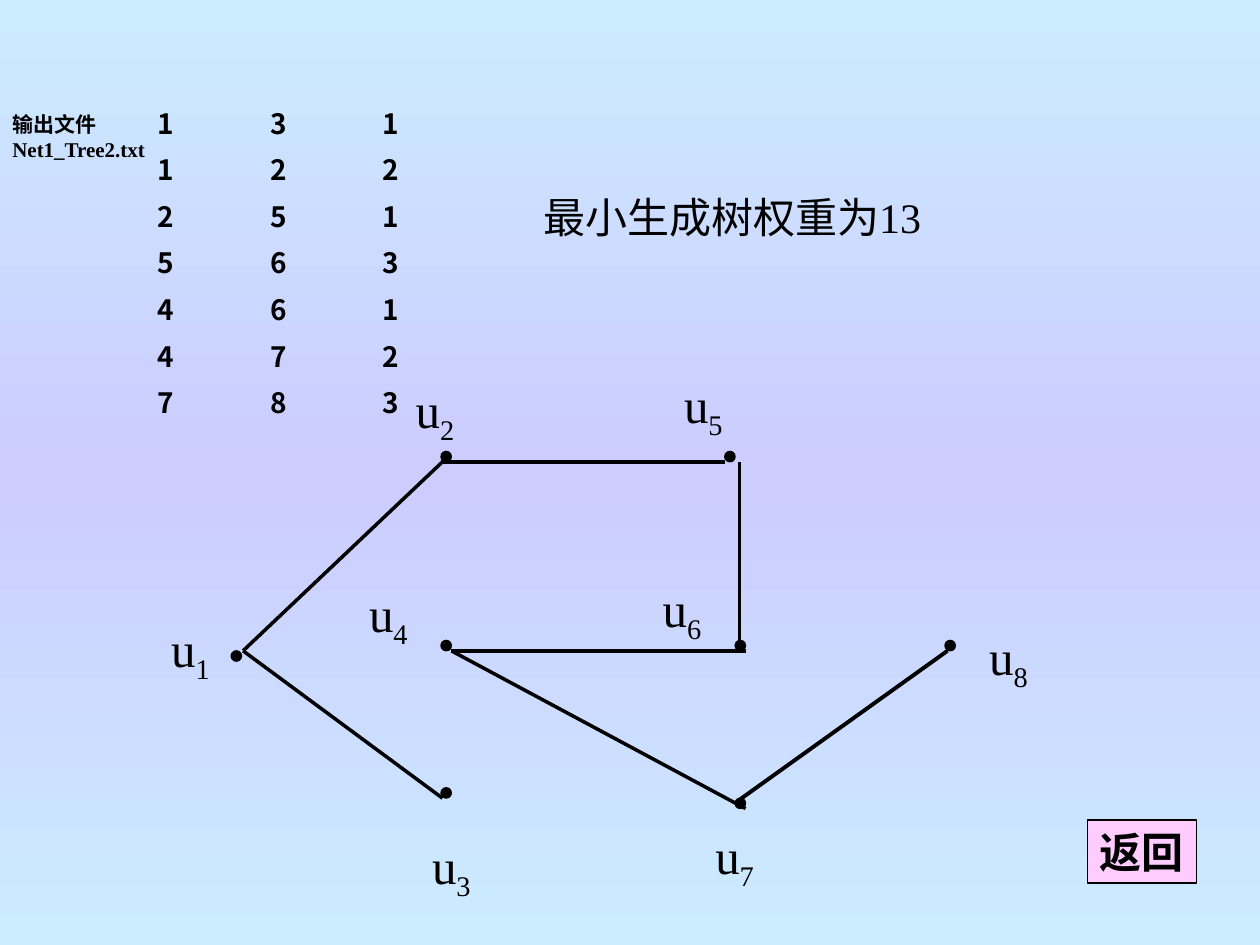
from copy import deepcopy
from typing import NamedTuple

from lxml.etree import SubElement
from pptx import Presentation
from pptx.dml.color import RGBColor
from pptx.enum.shapes import MSO_CONNECTOR, MSO_SHAPE
from pptx.enum.text import MSO_ANCHOR, MSO_AUTO_SIZE, PP_ALIGN
from pptx.oxml.ns import qn
from pptx.util import Cm, Pt

SERIF = "Times New Roman"
SANS = "Noto Sans CJK SC"
BLACK, PINK, SKY, LILAC = "000000", "FFCCFF", "CCECFF", "CCCCFF"
NO_GRID = "{2D5ABB26-0587-4C30-8999-92F81FD0307C}"
DOT = 0.21


class Node(NamedTuple):
    """Dot corner, then label corner and label width, all in cm."""
    num: int
    x: float
    y: float
    left: float
    top: float
    width: float
    wrap: bool = True


class Edge(NamedTuple):
    x1: float
    y1: float
    x2: float
    y2: float
    weight: float = 2


NODES = [
    Node(1, 4.66, 13.12, 3.2, 12.34, 1.27, False),
    Node(2, 8.89, 9.1, 8.13, 7.52, 1.27, False),
    Node(3, 8.89, 15.88, 8.46, 16.71, 2.12),
    Node(4, 8.89, 12.91, 7.19, 11.63, 1.69),
    Node(5, 14.61, 9.1, 13.54, 7.42, 2.33),
    Node(6, 14.82, 12.91, 13.11, 11.53, 2.12),
    Node(7, 14.82, 16.09, 14.17, 16.51, 2.33),
    Node(8, 19.05, 12.91, 19.69, 12.5, 1.9),
]
EDGES = [
    Edge(8.92, 9.31, 4.9, 13.12),
    Edge(4.9, 13.12, 8.92, 16.09),
    Edge(9.1, 13.12, 15.03, 13.12),
    Edge(8.89, 9.31, 14.61, 9.31),
    Edge(14.91, 9.31, 14.91, 13.12),
    Edge(9.1, 13.12, 15.03, 16.3),
    Edge(14.91, 16.12, 19.1, 13.12, 2.25),
]
TREE = [(1, 3, 1), (1, 2, 2), (2, 5, 1), (5, 6, 3), (4, 6, 1), (4, 7, 2), (7, 8, 3)]


def paint(color, code: str) -> None:
    color.rgb = RGBColor.from_string(code)


def style(para, size: float, face: str = SERIF, bold: bool = False) -> None:
    font = para.font
    font.size, font.name, font.bold = Pt(size), face, bold
    paint(font.color, BLACK)


def coat(shape, code: str) -> None:
    """Give a shape a plain fill, a thin black outline and no shadow."""
    shape.shadow.inherit = False
    shape.fill.solid()
    paint(shape.fill.fore_color, code)
    paint(shape.line.color, BLACK)
    shape.line.width = Pt(0.75)


def write(shape, text: str, size: float, bold: bool = False,
          wrap: bool = True, before: float = 0):
    """Fill a shape with one line; a tight, unwrapped one gets a slim right margin."""
    frame = shape.text_frame
    frame.word_wrap = wrap
    if not wrap:
        frame.margin_right = Cm(0.1)
    frame.auto_size = MSO_AUTO_SIZE.SHAPE_TO_FIT_TEXT
    frame.vertical_anchor = MSO_ANCHOR.TOP
    para = frame.paragraphs[0]
    para.alignment = PP_ALIGN.LEFT
    para.space_before = Pt(before)
    style(para, size, bold=bold)
    run = para.add_run()
    run.text = text
    paint(run.font.color, BLACK)
    return para


def add_box(slide, x: float, y: float, w: float, h: float):
    return slide.shapes.add_textbox(Cm(x), Cm(y), Cm(w), Cm(h))


def add_dot(slide, node: Node) -> None:
    dot = slide.shapes.add_shape(
        MSO_SHAPE.OVAL, Cm(node.x), Cm(node.y), Cm(DOT), Cm(DOT))
    coat(dot, BLACK)


def add_name(slide, node: Node) -> None:
    box = add_box(slide, node.left, node.top, node.width, 1.6)
    para = write(box, "u", 28, wrap=node.wrap, before=17.5 if node.wrap else 0)
    sub = para.add_run()
    sub.text = str(node.num)
    paint(sub.font.color, BLACK)
    sub._r.get_or_add_rPr().set("baseline", "-25000")


def add_edge(slide, edge: Edge) -> None:
    line = slide.shapes.add_connector(
        MSO_CONNECTOR.STRAIGHT,
        Cm(edge.x1), Cm(edge.y1), Cm(edge.x2), Cm(edge.y2))
    paint(line.line.color, BLACK)
    line.line.width = Pt(edge.weight)
    SubElement(line._element.spPr, qn("a:effectLst"))


def add_tree(slide) -> None:
    wide, high = 2.27, 0.94
    frame = slide.shapes.add_table(
        len(TREE), 3, Cm(1.49), Cm(1.92), Cm(3 * wide), Cm(len(TREE) * high))
    table = frame.table
    table.first_row = table.horz_banding = False
    table._tbl.tblPr.find(qn("a:tableStyleId")).text = NO_GRID
    for row, nums in zip(table.rows, TREE):
        row.height = Cm(high)
        for cell, num in zip(row.cells, nums):
            cell.fill.background()
            cell.vertical_anchor = MSO_ANCHOR.MIDDLE
            cell.margin_top, cell.margin_bottom = Cm(0.13), 0
            cell.text = str(num)
            para = cell.text_frame.paragraphs[0]
            para.alignment = PP_ALIGN.RIGHT
            style(para, 16, SANS, True)


def add_back(slide) -> None:
    """Fade the background from sky to lilac and back to sky."""
    fill = slide.background.fill
    fill.gradient()
    fill.gradient_angle = 270
    first, mid = fill.gradient_stops
    paint(first.color, SKY)
    paint(mid.color, LILAC)
    first.position, mid.position = 0, 0.5
    stops = slide.background._cSld.find(".//" + qn("a:gsLst"))
    last = deepcopy(stops[0])
    last.set("pos", "100000")
    stops.append(last)


def main() -> None:
    deck = Presentation()
    deck.slide_width, deck.slide_height = Cm(25.4), Cm(19.05)
    slide = deck.slides.add_slide(deck.slide_layouts[6])
    add_back(slide)
    for node in NODES:
        add_dot(slide, node)
    for node in NODES:
        add_name(slide, node)
    for edge in EDGES:
        add_edge(slide, edge)
    write(add_box(slide, 0, 2.13, 3.4, 1.27),
          "输出文件Net1_Tree2.txt", 12, bold=True, before=7.5)
    add_tree(slide)
    write(add_box(slide, 10.7, 3.73, 11.2, 1.27),
          "最小生成树权重为13", 24, before=15)
    button = slide.shapes.add_shape(
        MSO_SHAPE.RECTANGLE, Cm(21.92), Cm(16.53), Cm(2.2), Cm(1.27))
    coat(button, PINK)
    write(button, "返回", 24, bold=True, wrap=False)
    deck.save("out.pptx")


if __name__ == "__main__":
    main()
